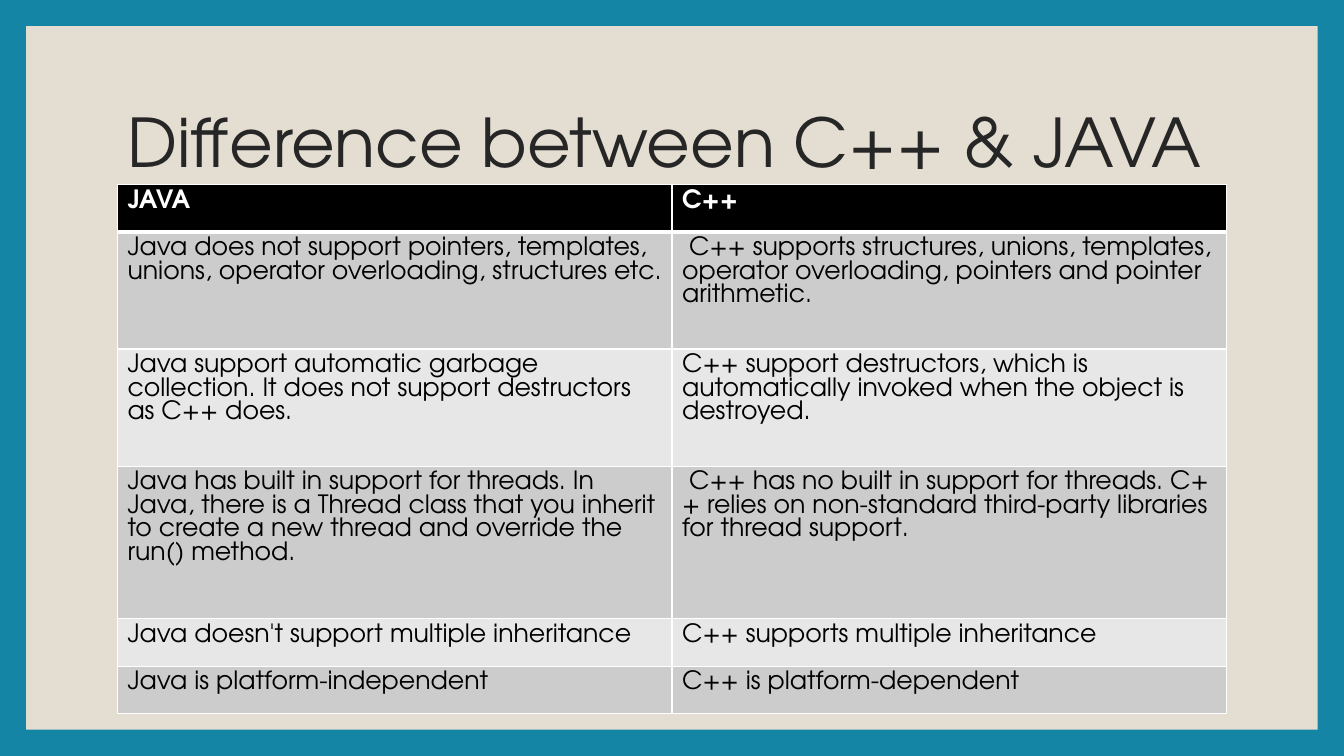
from lxml import etree
from pptx import Presentation, util as u
from pptx.dml.color import RGBColor
from pptx.enum import shapes, text
from pptx.oxml import ns

TEAL = RGBColor(0x14, 0x85, 0xA4)
SAND = RGBColor(0xE3, 0xDE, 0xD1)
INK = RGBColor(0x26, 0x26, 0x26)
BLACK = RGBColor(0, 0, 0)
WHITE = RGBColor(0xFF, 0xFF, 0xFF)
BANDS = RGBColor(0xE7, 0xE7, 0xE7), RGBColor(0xCC, 0xCC, 0xCC)
FONT = "TeX Gyre Adventor"
W, H = u.Inches(13.33), u.Inches(7.5)
MARGIN = u.Inches(0.26)
COLUMN = u.Inches(11)
LEFT = (W - COLUMN) // 2

TITLE = "Difference between C++ & JAVA"
ROWS = [
    (0.47, "JAVA", "C++"),
    (1.16, "Java does not support pointers, templates, unions, operator overloading, structures etc.",
     "\u00a0C++ supports structures, unions, templates, operator overloading, pointers and pointer arithmetic."),
    (1.16, "Java support automatic garbage collection. It does not support destructors as C++ does.",
     "C++ support destructors, which is automatically invoked when the object is destroyed."),
    (1.51, "Java has built in support for threads. In Java, there is a Thread class that you inherit "
     "to create a new thread and override the run() method.",
     "\u00a0C++ has no built in support for threads. C++ relies on non-standard third-party libraries "
     "for thread support."),
    (0.47, "Java doesn't support multiple inheritance", "C++ supports multiple inheritance"),
    (0.47, "Java is platform-independent", "C++ is platform-dependent"),
]


def write(p, words, color, **fmt):
    """Add one formatted run to a paragraph."""
    r = p.add_run()
    r.text = words
    r.font.color.rgb = color
    for name, value in {"name": FONT, **fmt}.items():
        setattr(r.font, name, value)


def border(cell, widths):
    """Draw white borders on a cell from widths in points by side."""
    tcPr = cell._tc.get_or_add_tcPr()
    for i, (side, width) in enumerate(widths.items()):
        ln = etree.Element(ns.qn(f"a:ln{side}"), w=str(u.Pt(width)))
        fill = etree.SubElement(ln, ns.qn("a:solidFill"))
        etree.SubElement(fill, ns.qn("a:srgbClr"), val=str(WHITE))
        tcPr.insert(i, ln)


def frame(s, x, y, w, h):
    """Fill the background and lay the sand panel inside it."""
    fill = s.background.fill
    fill.solid()
    fill.fore_color.rgb = TEAL
    sp = s.shapes.add_shape(shapes.MSO_SHAPE.RECTANGLE, x, y, w, h)
    sp.shadow.inherit = False
    sp.fill.solid()
    sp.fill.fore_color.rgb = SAND
    sp.line.fill.background()


def title(s, x, y, w, h):
    """Place the slide title, centred vertically in its box."""
    tf = s.shapes.add_textbox(x, y, w, h).text_frame
    tf.word_wrap = True
    tf.vertical_anchor = text.MSO_ANCHOR.MIDDLE
    p = tf.paragraphs[0]
    p.line_spacing = 0.9
    write(p, TITLE, INK, size=u.Pt(48))


def comparison(s, x, y, w, h):
    """Build the two-column table, sharing the height by row weight."""
    table = s.shapes.add_table(len(ROWS), 2, x, y, w, h).table
    total = sum(row[0] for row in ROWS)
    for i, (weight, *words) in enumerate(ROWS):
        table.rows[i].height = int(h * weight / total)
        head = i == 0
        for j, phrase in enumerate(words):
            cell = table.cell(i, j)
            cell.fill.solid()
            cell.fill.fore_color.rgb = BLACK if head else BANDS[i % 2]
            border(cell, {"L": 1, "R": 1, "T": 3 if i == 1 else 1, "B": 3 if head else 1})
            write(cell.text_frame.paragraphs[0], phrase, WHITE if head else BLACK,
                  size=u.Pt(18), bold=head)


prs = Presentation()
prs.slide_width, prs.slide_height = W, H
s = prs.slides.add_slide(prs.slide_layouts[6])
frame(s, MARGIN, MARGIN, W - 2 * MARGIN, H - 2 * MARGIN)
title(s, LEFT, u.Inches(0.7), COLUMN, H // 5)
comparison(s, LEFT, u.Inches(1.83), COLUMN, u.Inches(5.25))
prs.save("out.pptx")
